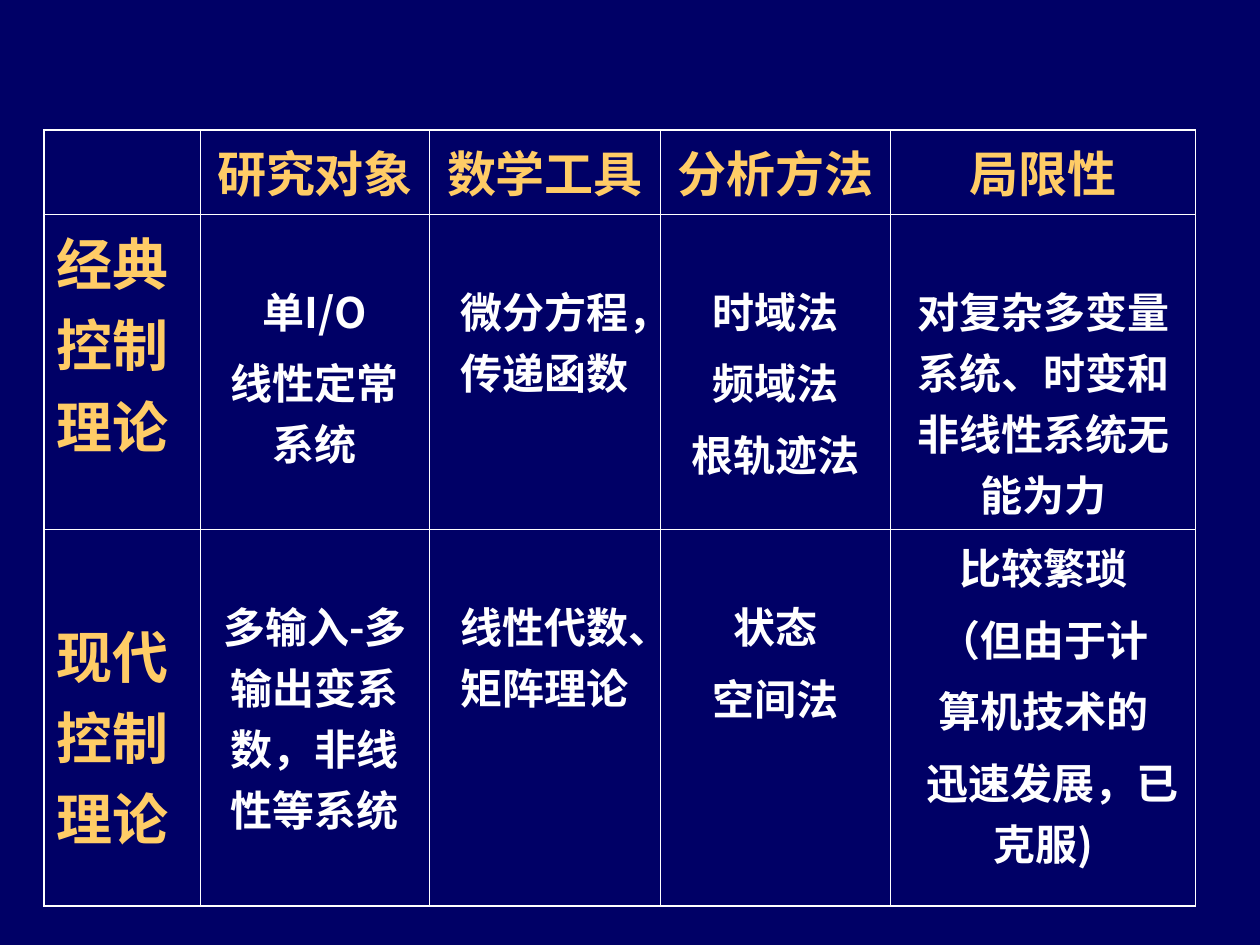
from dataclasses import dataclass

from lxml import etree
from pptx import Presentation, util as u
from pptx.dml.color import RGBColor
from pptx.enum import text
from pptx.oxml.ns import qn


@dataclass(frozen=True)
class Theme:
    back: str = "000066"
    line: str = "FFFFFF"
    body: str = "FFFFFF"
    accent: str = "FFCC66"
    sans: str = "Noto Sans CJK SC"
    serif: str = "Times New Roman"
    head_size: int = 28
    label_size: int = 32
    body_size: int = 24
    thin: float = 0.45
    thick: float = 1.08


HEADINGS = ["", "研究对象", "数学工具", "分析方法", "局限性"]
CLASSIC = ["经典控制理论", "单I/O\n线性定常系统", "微分方程，传递函数",
           "时域法\n频域法\n根轨迹法", "对复杂多变量系统、时变和非线性系统无能为力"]
MODERN = ["现代控制理论", "多输入-多输出变系数，非线性等系统", "线性代数、矩阵理论",
          "状态\n空间法", "比较繁琐\n（但由于计\n算机技术的\n迅速发展，已克服)"]
COL_WIDTHS = [1.24, 1.82, 1.83, 1.83, 2.42]
ROW_HEIGHTS = [0.67, 2.19, 2.61]
INSET = 0.05
BODY_TOP = 0.52
LABEL_TOP = 0.66


class Deck:
    def __init__(self, theme):
        self.theme = theme
        self.prs = Presentation()
        self.prs.slide_width, self.prs.slide_height = u.Inches(10), u.Inches(7.5)
        self.s = self.prs.slides.add_slide(self.prs.slide_layouts[6])
        fill = self.s.background.fill
        fill.solid()
        fill.fore_color.rgb = RGBColor.from_string(theme.back)

    def table(self, left, top, widths, heights):
        """Add an unfilled table with a thick frame and thin inner lines."""
        rows, cols = len(heights), len(widths)
        frame = self.s.shapes.add_table(
            rows, cols, int(self.prs.slide_width * left), int(self.prs.slide_height * top),
            u.Inches(sum(widths)), u.Inches(sum(heights)))
        table = frame.table
        table.first_row = table.horz_banding = False
        for column, width in zip(table.columns, widths):
            column.width = u.Inches(width)
        for row, height in zip(table.rows, heights):
            row.height = u.Inches(height)
        for i in range(rows):
            for j in range(cols):
                cell = table.cell(i, j)
                cell.fill.background()
                self.borders(cell, L=j == 0, R=j == cols - 1, T=i == 0, B=i == rows - 1)
        return table

    def borders(self, cell, **outer):
        tc_pr = cell._tc.get_or_add_tcPr()
        for position, (side, is_outer) in enumerate(outer.items()):
            width = self.theme.thick if is_outer else self.theme.thin
            ln = etree.Element(qn(f"a:ln{side}"), w=str(u.Pt(width)))
            fill = etree.SubElement(ln, qn("a:solidFill"))
            etree.SubElement(fill, qn("a:srgbClr"), val=self.theme.line)
            tc_pr.insert(position, ln)

    def cell_text(self, cell, content, size, color, font, top=INSET, centered=True):
        """Add one paragraph per line, with a gap of a quarter of the type size."""
        cell.margin_top, cell.margin_bottom = u.Inches(top), u.Inches(INSET)
        cell.margin_left = cell.margin_right = u.Inches(0.1)
        tf = cell.text_frame
        for i, line in enumerate(content.split("\n")):
            p = tf.add_paragraph() if i else tf.paragraphs[0]
            p.alignment = text.PP_ALIGN.CENTER if centered else text.PP_ALIGN.LEFT
            p.space_before = u.Pt(size // 4)
            r = p.add_run()
            r.text = line
            r.font.size, r.font.bold, r.font.name = u.Pt(size), True, font
            r.font.color.rgb = RGBColor.from_string(color)
            east_asian = etree.Element(qn("a:ea"), typeface=self.theme.sans)
            r.font._element.find(qn("a:latin")).addnext(east_asian)

    def indent_first_line(self, p, inches):
        p_pr = p._p.get_or_add_pPr()
        p_pr.set("marL", "0")
        p_pr.set("indent", str(u.Inches(inches)))


def main():
    theme = Theme()
    deck = Deck(theme)
    table = deck.table(0.035, 0.1375, COL_WIDTHS, ROW_HEIGHTS)

    for j, heading in enumerate(HEADINGS):
        if heading:
            deck.cell_text(table.cell(0, j), heading, theme.head_size, theme.accent, theme.sans)

    for i, (label, *details) in enumerate([CLASSIC, MODERN], start=1):
        deck.cell_text(table.cell(i, 0), label, theme.label_size, theme.accent, theme.serif,
                       top=INSET if i == 1 else LABEL_TOP, centered=False)
        for j, detail in enumerate(details, start=1):
            full_cell = detail == MODERN[-1]
            deck.cell_text(table.cell(i, j), detail, theme.body_size, theme.body, theme.sans,
                           top=INSET if full_cell else BODY_TOP)
    deck.indent_first_line(table.cell(2, 4).text_frame.paragraphs[-1], 0.15)

    deck.prs.save("out.pptx")


if __name__ == "__main__":
    main()
